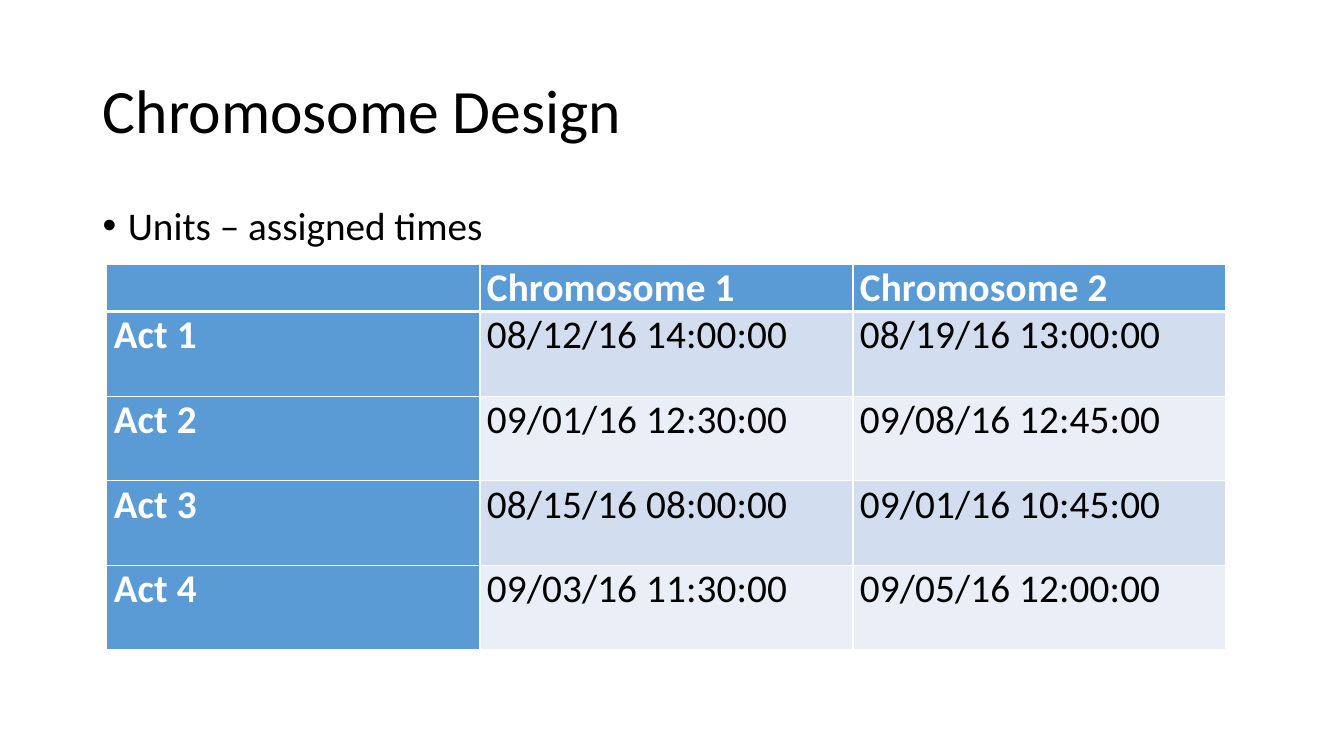
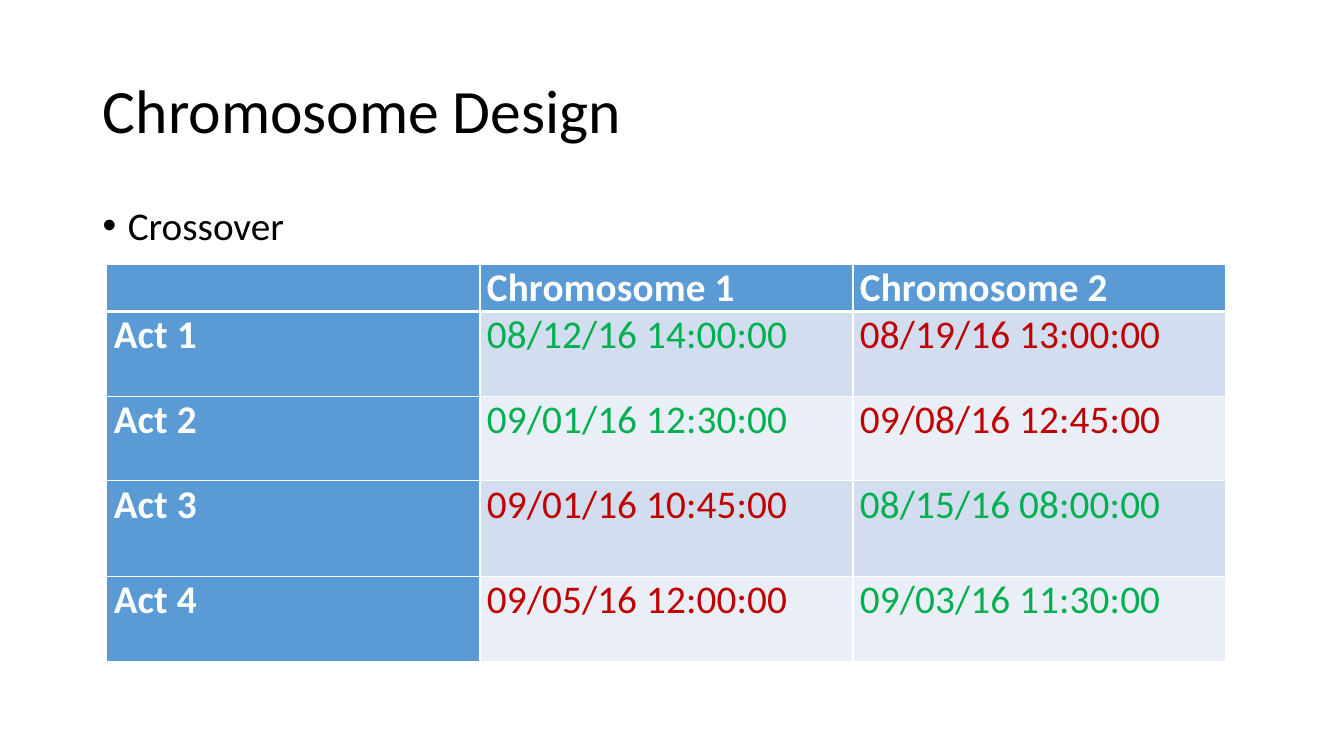
from lxml.etree import SubElement
from pptx import Presentation
from pptx.dml.color import RGBColor
from pptx.enum.text import MSO_ANCHOR as Anchor, PP_ALIGN as Align
from pptx.oxml.ns import qn
from pptx.util import Inches, Pt

BLACK = RGBColor(0x00, 0x00, 0x00)
WHITE = RGBColor(0xFF, 0xFF, 0xFF)
BLUE = RGBColor(0x5B, 0x9B, 0xD5)
BAND_DARK = RGBColor(0xD2, 0xDE, 0xEF)
BAND_LIGHT = RGBColor(0xEA, 0xEF, 0xF7)
GREEN = RGBColor(0x00, 0xB0, 0x50)
RED = RGBColor(0xC0, 0x00, 0x00)

CHROMOSOMES = (
    ("08/12/16 14:00:00", "09/01/16 12:30:00", "08/15/16 08:00:00", "09/03/16 11:30:00"),
    ("08/19/16 13:00:00", "09/08/16 12:45:00", "09/01/16 10:45:00", "09/05/16 12:00:00"),
)
CROSSOVER_POINT = 2


class Deck:
    font_name = "Calibri"
    title_size = Pt(44)
    text_size = Pt(28)
    left = Inches(0.92)
    width = Inches(11.5)

    def __init__(self):
        self.presentation = Presentation()
        self.presentation.slide_width = Inches(13.33)
        self.presentation.slide_height = Inches(7.5)
        self.slide = None

    def style(self, paragraph, size, color=BLACK, bold=False):
        font = paragraph.font
        font.name, font.size, font.bold = self.font_name, size, bold
        font.color.rgb = color

    def add_slide(self, title):
        self.slide = self.presentation.slides.add_slide(self.presentation.slide_layouts[5])
        shape = self.slide.shapes.title
        shape.left, shape.top = self.left, Inches(0.4)
        shape.width, shape.height = self.width, Inches(1.45)
        frame = shape.text_frame
        frame.text = title
        frame.vertical_anchor = Anchor.MIDDLE
        paragraph = frame.paragraphs[0]
        paragraph.alignment = Align.LEFT
        paragraph.line_spacing = 0.9
        self.style(paragraph, self.title_size)

    def add_bullet(self, text):
        shape = self.slide.shapes.add_textbox(self.left, Inches(2), self.width, Inches(0.6))
        frame = shape.text_frame
        frame.word_wrap = True
        frame.text = text
        paragraph = frame.paragraphs[0]
        paragraph.line_spacing = 0.9
        paragraph.space_before = Pt(10)
        self.style(paragraph, self.text_size)
        properties = paragraph._p.get_or_add_pPr()
        properties.set("marL", str(Inches(0.25)))
        properties.set("indent", str(-Inches(0.25)))
        bullet_font = SubElement(properties, qn("a:buFont"), typeface="Arial")
        bullet_font.addnext(SubElement(properties, qn("a:buChar"), char="•"))
        # Bullet elements come before the default run properties.
        properties.append(properties.find(qn("a:defRPr")))

    def add_borders(self, cell, top, bottom):
        """Draw white cell borders; top and bottom are widths in points."""
        properties = cell._tc.get_or_add_tcPr()
        for side, points in (("L", 1), ("R", 1), ("T", top), ("B", bottom)):
            line = SubElement(properties, qn(f"a:ln{side}"), w=str(Pt(points)))
            fill = SubElement(line, qn("a:solidFill"))
            SubElement(fill, qn("a:srgbClr"), val=str(WHITE))

    def fill_cell(self, cell, text, background, color, bold):
        cell.margin_left = cell.margin_right = Inches(0.07)
        cell.margin_top = cell.margin_bottom = 0
        cell.fill.solid()
        cell.fill.fore_color.rgb = background
        paragraph = cell.text_frame.paragraphs[0]
        paragraph.alignment = Align.JUSTIFY
        paragraph.space_before = Pt(6)
        self.style(paragraph, self.text_size, color, bold)
        if text:
            run = paragraph.add_run()
            run.text = text
            run._r.get_or_add_rPr().set("spc", "10")

    def add_schedule(self, acts, row_heights):
        """Add the table; each act is a row of (time, colour) pairs."""
        header = [(text, WHITE) for text in ("", "Chromosome 1", "Chromosome 2")]
        rows = [header] + [[(f"Act {number}", WHITE), *times]
                           for number, times in enumerate(acts, 1)]
        table = self.slide.shapes.add_table(
            len(rows), len(header), Inches(1.06), Inches(2.62),
            Inches(11.09), Inches(sum(row_heights))).table
        for column in table.columns:
            column.width = Inches(3.7)
        for row_index, (row, height) in enumerate(zip(rows, row_heights)):
            table.rows[row_index].height = Inches(height)
            band = BAND_DARK if row_index % 2 else BAND_LIGHT
            for column_index, (text, color) in enumerate(row):
                cell = table.cell(row_index, column_index)
                heading = row_index == 0 or column_index == 0
                self.add_borders(cell, top=3 if row_index == 1 else 1,
                                 bottom=3 if row_index == 0 else 1)
                self.fill_cell(cell, text, BLUE if heading else band, color, heading)


def main():
    deck = Deck()
    parents = list(zip(*CHROMOSOMES))
    assigned = [[(time, BLACK) for time in times] for times in parents]
    crossed = [list(zip(times, (GREEN, RED))) for times in parents]
    crossed[CROSSOVER_POINT:] = [pair[::-1] for pair in crossed[CROSSOVER_POINT:]]

    for bullet, acts, row_heights in (
        ("Units – assigned times", assigned, (0.47, 0.84, 0.84, 0.84, 0.84)),
        ("Crossover", crossed, (0.47, 0.84, 0.84, 0.95, 0.84)),
    ):
        deck.add_slide("Chromosome Design")
        deck.add_bullet(bullet)
        deck.add_schedule(acts, row_heights)
    deck.presentation.save("out.pptx")


if __name__ == "__main__":
    main()
